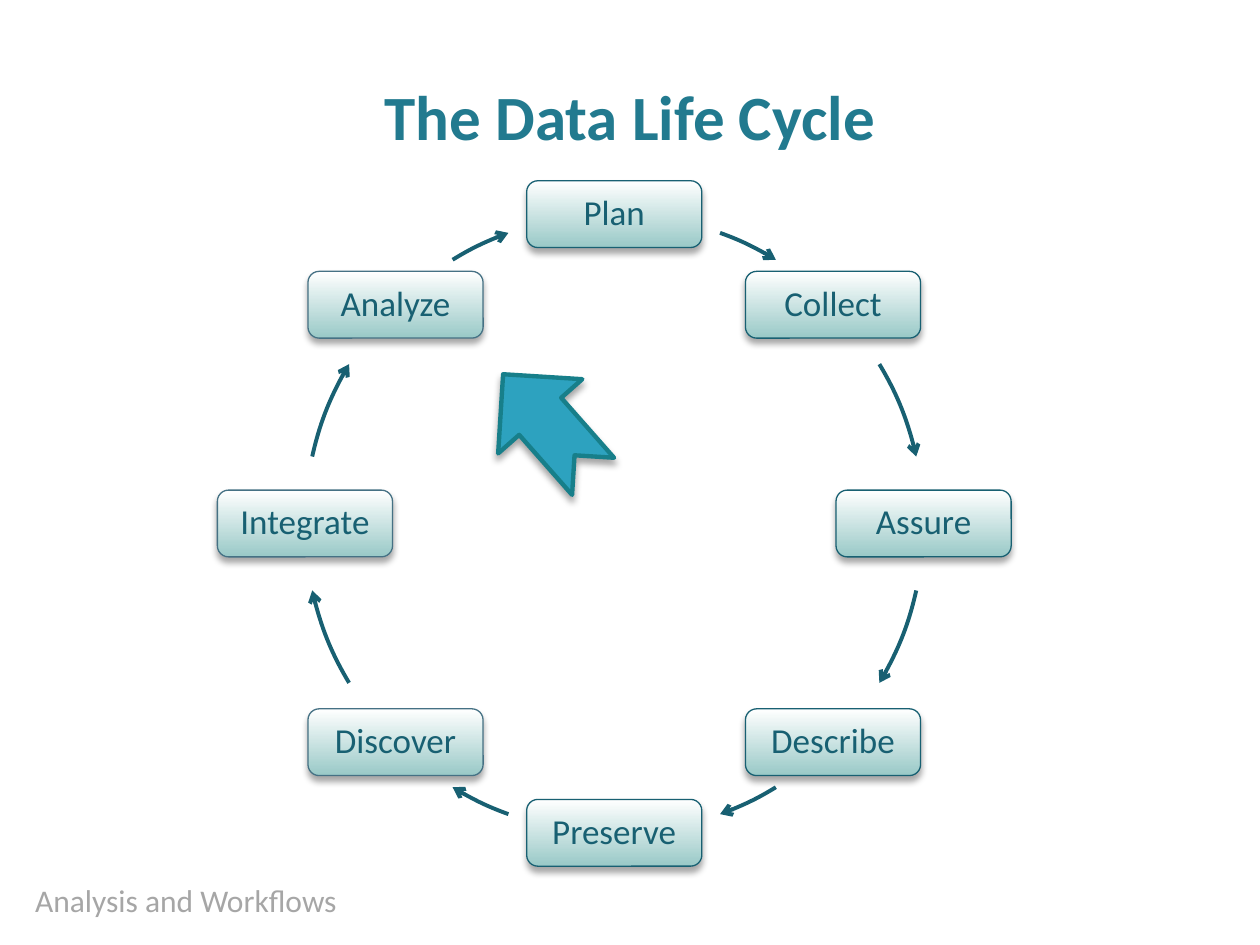
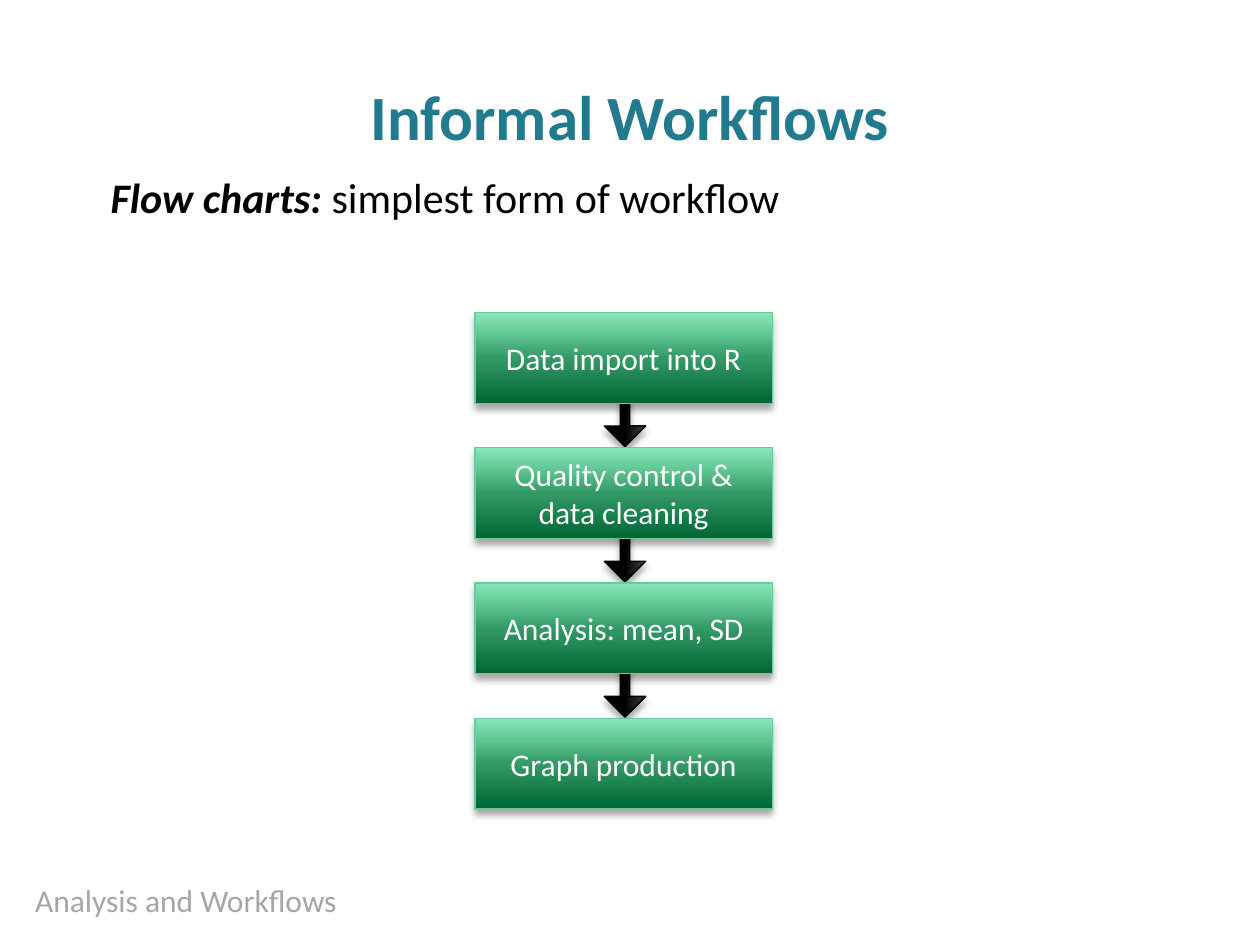
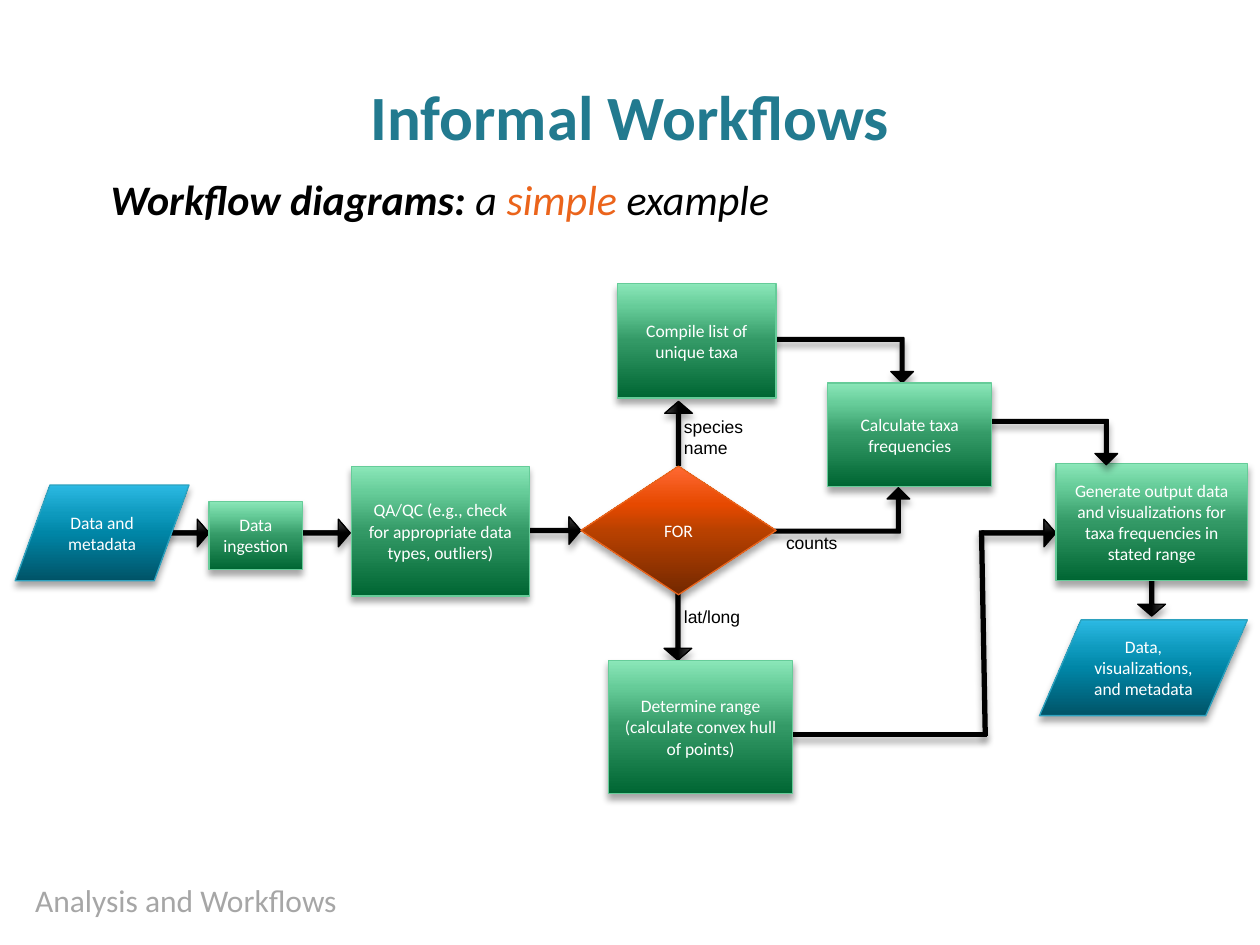
from dataclasses import dataclass
from math import cos, radians, sin, tan
from typing import NamedTuple

from lxml.etree import SubElement
from pptx import Presentation
from pptx.dml.color import RGBColor
from pptx.enum.shapes import MSO_CONNECTOR, MSO_SHAPE
from pptx.enum.text import MSO_ANCHOR, PP_ALIGN
from pptx.oxml.ns import qn
from pptx.util import Inches, Pt

# Shared colours and fonts
TITLE, FOOTER, INK, ACCENT = "227A8F", "A6A6A6", "186072", "EB641B"
BLACK, WHITE = "000000", "FFFFFF"
BODY_FONT, LABEL_FONT = "Calibri", "Arial"


class Look(NamedTuple):
    stops: tuple[tuple[int, str], ...]  # a single stop gives a solid fill
    line: str
    width: float = 0.75
    angle: int = 90  # counter-clockwise: 90 runs from bottom to top


GREEN = Look(((0, "006633"), (50, "339966"), (80, "66CC99"), (100, "8BE7B9")), "66CC99")
BLUE = Look(((0, "005367"), (50, "0086A7"), (70, "0E9ABE"), (100, "2CB9E3")), "2DA2BF")
ORANGE = Look(((0, "732800"), (50, "B94100"), (70, "E64900"), (100, "FF6933")), ACCENT)
DARK = Look(((0, BLACK), (50, BLACK), (70, "1D1D1D"), (100, "424242")), BLACK)
SOLID = Look(((0, BLACK),), BLACK)
MINT = Look(((0, WHITE), (100, "99C9C7")), INK, angle=270)
MINT_LEFT = MINT._replace(line="457184")
POINTER = Look(((0, "2DA2BF"),), "177F8A", 2.5)


@dataclass
class Box:
    left: float
    top: float
    width: float
    height: float
    text: str = ""
    kind: MSO_SHAPE = MSO_SHAPE.FLOWCHART_PROCESS
    look: Look = GREEN
    size: int = 10
    color: str = WHITE


@dataclass
class Arrow:
    left: float
    top: float
    width: float
    height: float
    rotation: float = 0
    adjust: tuple[float, ...] = (0.143, 0.43)
    kind: MSO_SHAPE = MSO_SHAPE.RIGHT_ARROW
    look: Look = DARK
    flip: bool = False


class Label(NamedTuple):
    left: float
    top: float
    width: float
    height: float
    text: str


class Run(NamedTuple):
    text: str
    color: str = BLACK
    bold: bool = False
    italic: bool = False


def rgb(value: str) -> RGBColor:
    return RGBColor.from_string(value)


def frame(left: float, top: float, width: float, height: float) -> tuple:
    return Inches(left), Inches(top), Inches(width), Inches(height)


def add_run(p, text: str, size: float, color: str, font: str = BODY_FONT,
            bold: bool = False, italic: bool = False) -> None:
    r = p.add_run()
    r.text = text
    r.font.name, r.font.size = font, Pt(size)
    r.font.bold, r.font.italic = bold, italic
    r.font.color.rgb = rgb(color)


def add_shadow(shape) -> None:
    sp_pr = shape._element.spPr
    effects = sp_pr.find(qn("a:effectLst"))
    if effects is None:
        effects = SubElement(sp_pr, qn("a:effectLst"))
    shadow = SubElement(effects, qn("a:outerShdw"), blurRad=str(Pt(4)), dist=str(Pt(3)),
                        dir="5400000", rotWithShape="0")
    color = SubElement(shadow, qn("a:srgbClr"), val=BLACK)
    SubElement(color, qn("a:alpha"), val="35000")


def paint(shape, look: Look) -> None:
    shape.shadow.inherit = False
    if len(look.stops) == 1:
        shape.fill.solid()
        shape.fill.fore_color.rgb = rgb(look.stops[0][1])
    else:
        shape.fill.gradient()
        shape.fill.gradient_angle = look.angle
        stops = shape._element.spPr.find(".//" + qn("a:gsLst"))
        for stop in list(stops):
            stops.remove(stop)
        for position, color in look.stops:
            stop = SubElement(stops, qn("a:gs"), pos=str(position * 1000))
            SubElement(stop, qn("a:srgbClr"), val=color)
    shape.line.color.rgb = rgb(look.line)
    shape.line.width = Pt(look.width)
    add_shadow(shape)


def add_box(s, box: Box):
    sp = s.shapes.add_shape(box.kind, *frame(box.left, box.top, box.width, box.height))
    paint(sp, box.look)
    tf = sp.text_frame
    tf.word_wrap = True
    tf.vertical_anchor = MSO_ANCHOR.MIDDLE
    p = tf.paragraphs[0]
    p.alignment = PP_ALIGN.CENTER
    add_run(p, box.text, box.size, box.color)
    return sp


def add_arrow(s, arrow: Arrow) -> None:
    sp = s.shapes.add_shape(arrow.kind, *frame(arrow.left, arrow.top, arrow.width, arrow.height))
    paint(sp, arrow.look)
    sp.rotation = arrow.rotation
    for i, value in enumerate(arrow.adjust):
        sp.adjustments[i] = value
    if arrow.flip:
        sp._element.spPr.find(qn("a:xfrm")).set("flipV", "1")


def add_line(s, start: tuple[float, float], end: tuple[float, float]) -> None:
    line = s.shapes.add_connector(MSO_CONNECTOR.STRAIGHT, *map(Inches, start + end))
    line.line.color.rgb = rgb(BLACK)
    line.line.width = Pt(3)
    add_shadow(line)


def add_text(s, left: float, top: float, width: float, height: float):
    tf = s.shapes.add_textbox(*frame(left, top, width, height)).text_frame
    tf.word_wrap = True
    return tf.paragraphs[0]


def add_lead(s, top: float, runs: list[Run]) -> None:
    p = add_text(s, 0.66, top, 8.74, 1.37)
    p.space_before = Pt(4)
    p._p.get_or_add_pPr().set("marL", str(Inches(0.12)))
    for run in runs:
        add_run(p, run.text, 24, run.color, bold=run.bold, italic=run.italic)


def new_slide(prs, title: str):
    s = prs.slides.add_slide(prs.slide_layouts[5])
    sp = s.shapes.title
    sp.left, sp.top, sp.width, sp.height = frame(0, 0.53, 10, 0.77)
    tf = sp.text_frame
    tf.vertical_anchor = MSO_ANCHOR.MIDDLE
    p = tf.paragraphs[0]
    p.alignment = PP_ALIGN.CENTER
    add_run(p, title, 36, TITLE, bold=True)
    add_run(add_text(s, 0.18, 6.94, 4.18, 0.4), "Analysis and Workflows", 18, FOOTER)
    return s


# Life cycle ring: angles run clockwise from the top
RING_LEFT, RING_TOP, RING_SIZE = 2.42, 1.7, 4.91
RADIUS = RING_SIZE / 2
NODE_W, NODE_H = 1.39, 0.53
STAGES = ["Plan", "Collect", "Assure", "Describe", "Preserve", "Discover", "Integrate", "Analyze"]
HALF_ARCS = [(20, 31.5), (59, 77.5), (102.5, 121), (148.5, 160)]


def on_ring(angle: float, along: float = 0) -> tuple[float, float]:
    """Point in the ring's frame, moved along the tangent by a share of the radius."""
    a = radians(angle)
    return (RADIUS * (1 + sin(a) + along * cos(a)),
            RADIUS * (1 - cos(a) + along * sin(a)))


def add_arc(s, start: float, end: float) -> None:
    left, top, size, _ = frame(RING_LEFT, RING_TOP, RING_SIZE, RING_SIZE)
    builder = s.shapes.build_freeform(left, top)
    builder.add_line_segments([(left + size, top + size)], close=False)
    sp = builder.convert_to_shape()

    # Swap the diagonal for a Bézier arc within the ring's frame
    outline = sp._element.spPr.find(".//" + qn("a:path"))
    for step in list(outline):
        outline.remove(step)
    pull = 4 / 3 * tan(radians(end - start) / 4)
    move = SubElement(outline, qn("a:moveTo"))
    curve = SubElement(outline, qn("a:cubicBezTo"))
    for parent, (x, y) in [(move, on_ring(start)), (curve, on_ring(start, pull)),
                           (curve, on_ring(end, -pull)), (curve, on_ring(end))]:
        SubElement(parent, qn("a:pt"), x=str(Inches(x)), y=str(Inches(y)))

    sp.shadow.inherit = False
    sp.fill.background()
    sp.line.color.rgb = rgb(INK)
    sp.line.width = Pt(2.25)
    line = sp._element.spPr.find(qn("a:ln"))
    SubElement(line, qn("a:tailEnd"), type="arrow")


def life_cycle(prs) -> None:
    s = new_slide(prs, "The Data Life Cycle")
    for i, stage in enumerate(STAGES):
        x, y = on_ring(i * 360 / len(STAGES))
        look = MINT_LEFT if i > 4 else MINT
        sp = add_box(s, Box(RING_LEFT + x - NODE_W / 2, RING_TOP + y - NODE_H / 2,
                            NODE_W, NODE_H, stage,
                            MSO_SHAPE.ROUNDED_RECTANGLE, look, 20, INK))
        tf = sp.text_frame
        tf.margin_left = tf.margin_right = tf.margin_top = tf.margin_bottom = Inches(0.08)
        tf.paragraphs[0].line_spacing = 0.9
    for turn in (0, 180):
        for start, end in HALF_ARCS:
            add_arc(s, start + turn, end + turn)
    add_arrow(s, Arrow(3.81, 2.93, 1.08, 0.89, 228.6, (),
                       MSO_SHAPE.NOTCHED_RIGHT_ARROW, POINTER))


# Vertical flow chart
STEPS = ["Data import into R", "Quality control & data cleaning",
         "Analysis: mean, SD", "Graph production"]
FIRST_TOP, LAST_TOP = 2.48, 5.7
STEP_PITCH = (LAST_TOP - FIRST_TOP) / (len(STEPS) - 1)


def flow_chart(prs) -> None:
    s = new_slide(prs, "Informal Workflows")
    add_lead(s, 1.31, [Run("Flow charts: ", bold=True, italic=True),
                       Run("simplest form of workflow")])
    for i in range(len(STEPS) - 1):
        add_arrow(s, Arrow(4.75, 3.17 + i * STEP_PITCH, 0.42, 0.33, 90, (0.227, 0.5)))
    for i, step in enumerate(STEPS):
        add_box(s, Box(3.77, FIRST_TOP + i * STEP_PITCH, 2.36, 0.72, step, size=18))


# Branching workflow diagram, from back to front
BENT = dict(adjust=(0.081, 0.25, 0.25), kind=MSO_SHAPE.BENT_UP_ARROW, look=SOLID)
DATA = dict(kind=MSO_SHAPE.FLOWCHART_DATA, look=BLUE)
RANGE_LINE = (6.27, 5.83), (7.83, 5.83)
RETURN_LINE = (7.82, 5.84), (7.79, 4.21)
FLOW_PARTS = [
    Arrow(1.24, 4.12, 0.42, 0.22),
    Arrow(2.36, 4.12, 0.42, 0.22),
    Arrow(4.19, 4.1, 0.42, 0.22),
    Arrow(7.79, 4.12, 0.59, 0.22),
    Arrow(8.9, 4.54, 0.48, 0.22, 90),
    Arrow(5.07, 4.82, 0.62, 0.22, 90),
    Arrow(5.13, 3.33, 0.51, 0.22, 270),
    Arrow(6.13, 3.87, 1.09, 0.36, **BENT),
    Arrow(6.01, 2.68, 1.24, 0.36, flip=True, **BENT),
    Box(0.12, 3.85, 1.38, 0.76, "Data and metadata", **DATA),
    Box(1.66, 3.98, 0.74, 0.54, "Data ingestion"),
    Box(2.79, 3.7, 1.41, 1.03, "QA/QC (e.g., check for appropriate data types, outliers)"),
    Box(4.61, 3.7, 1.55, 1.02, "FOR", MSO_SHAPE.FLOWCHART_DECISION, ORANGE),
    Box(4.9, 2.25, 1.26, 0.91, "Compile list of unique taxa"),
    Box(4.83, 5.24, 1.46, 1.06, "Determine range (calculate convex hull of points)"),
    Box(8.38, 3.68, 1.52, 0.93,
        "Generate output data and visualizations for taxa frequencies in stated range"),
    Box(8.25, 4.92, 1.65, 0.76, "Data, visualizations, and metadata", **DATA),
    Arrow(7.39, 3.33, 1.48, 0.36, flip=True, **BENT),
    Box(6.57, 3.04, 1.3, 0.82, "Calculate taxa frequencies"),
]
FLOW_LABELS = [
    Label(5.33, 3.25, 0.74, 0.44, "species name"),
    Label(5.33, 4.76, 0.83, 0.27, "lat/long"),
    Label(6.14, 4.17, 1.06, 0.27, "counts"),
]


def workflow_diagram(prs) -> None:
    s = new_slide(prs, "Informal Workflows")
    add_line(s, *RANGE_LINE)
    for part in FLOW_PARTS:
        if isinstance(part, Arrow):
            add_arrow(s, part)
        else:
            add_box(s, part)
    for *place, text in FLOW_LABELS:
        add_run(add_text(s, *place), text, 10, BLACK, LABEL_FONT)
    add_line(s, *RETURN_LINE)
    add_lead(s, 1.33, [Run("Workflow diagrams: ", bold=True, italic=True),
                       Run("a ", italic=True),
                       Run("simple ", ACCENT, italic=True),
                       Run("example", italic=True)])


def main() -> None:
    prs = Presentation()
    prs.slide_width, prs.slide_height = Inches(10), Inches(7.5)
    life_cycle(prs)
    flow_chart(prs)
    workflow_diagram(prs)
    prs.save("out.pptx")


if __name__ == "__main__":
    main()
